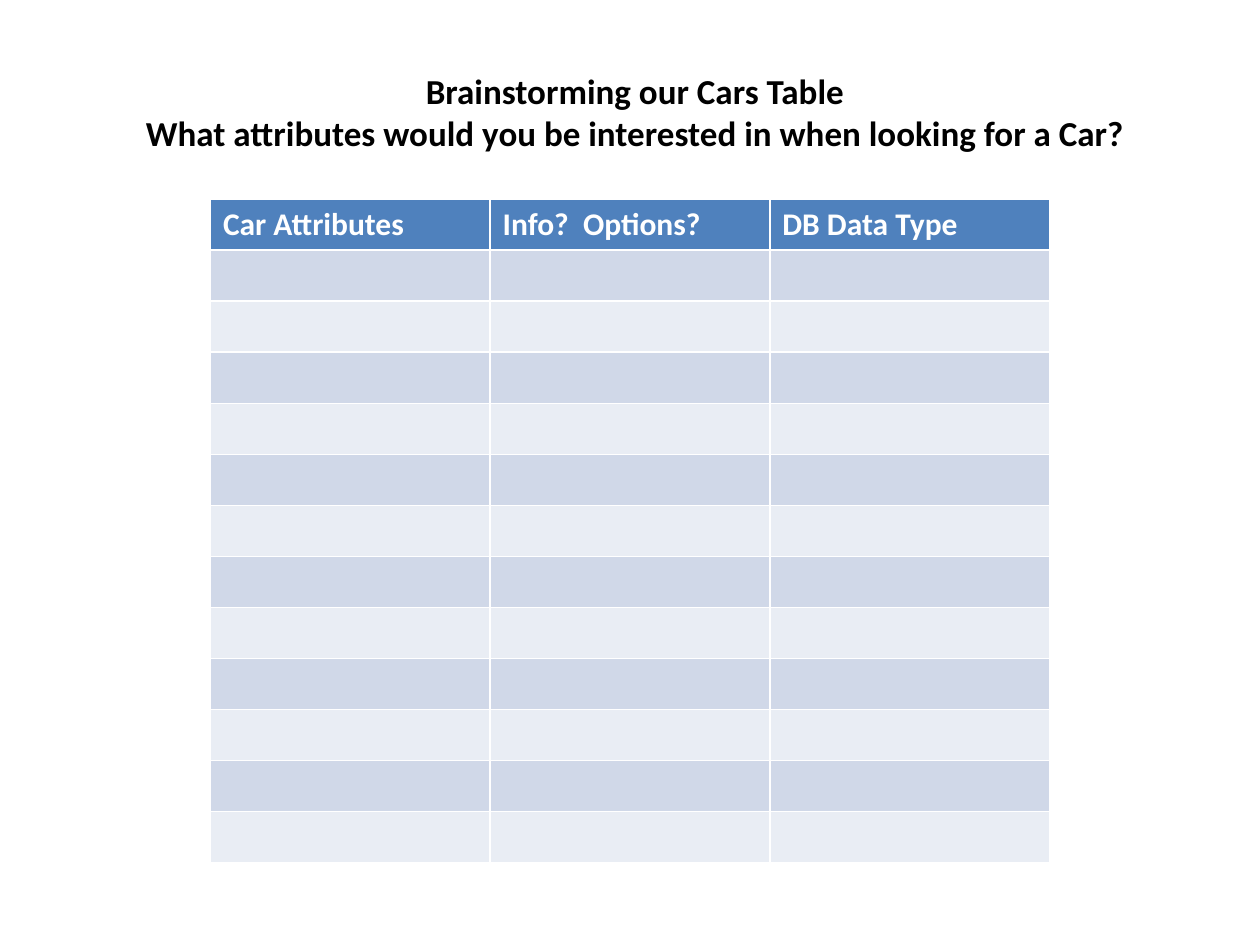
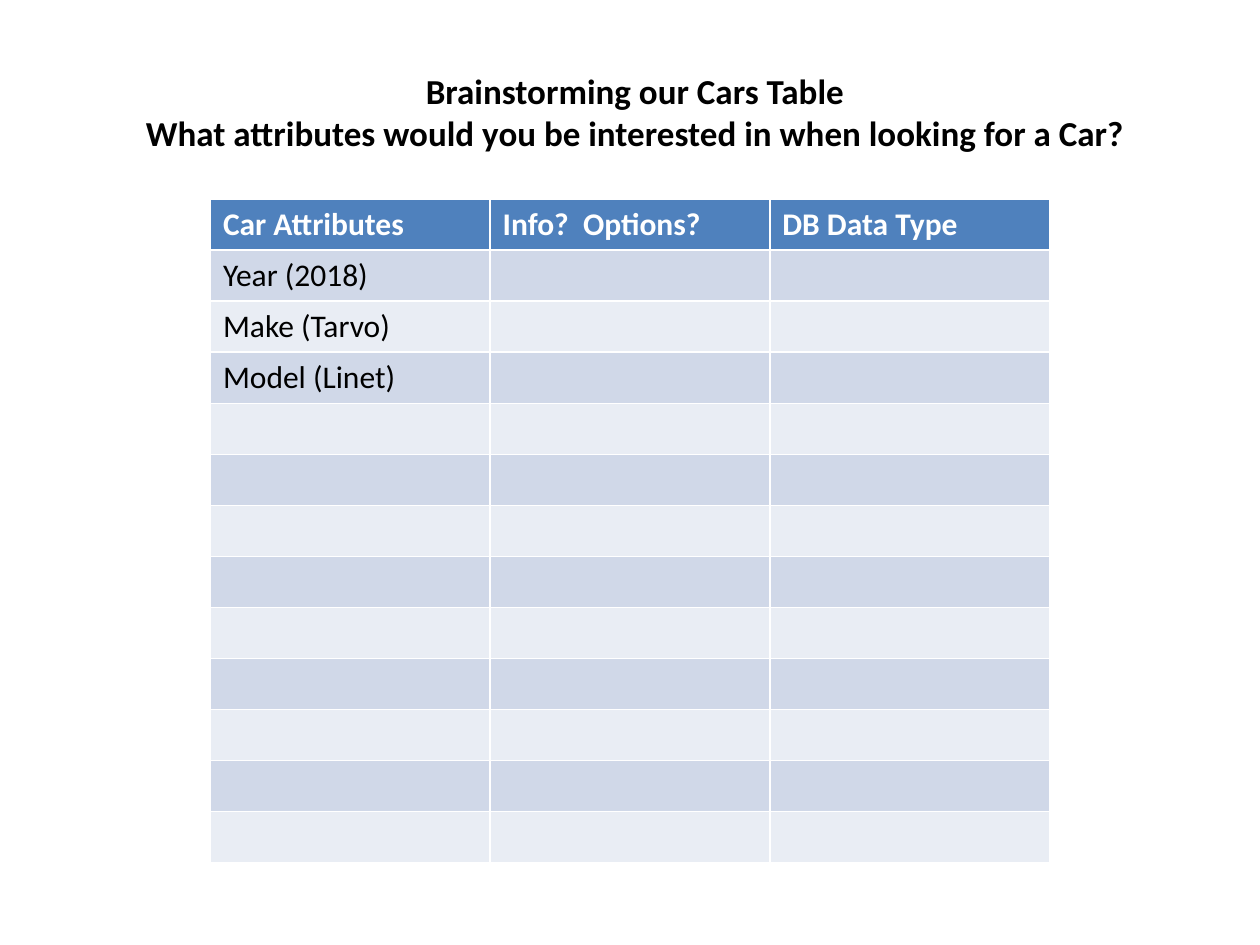
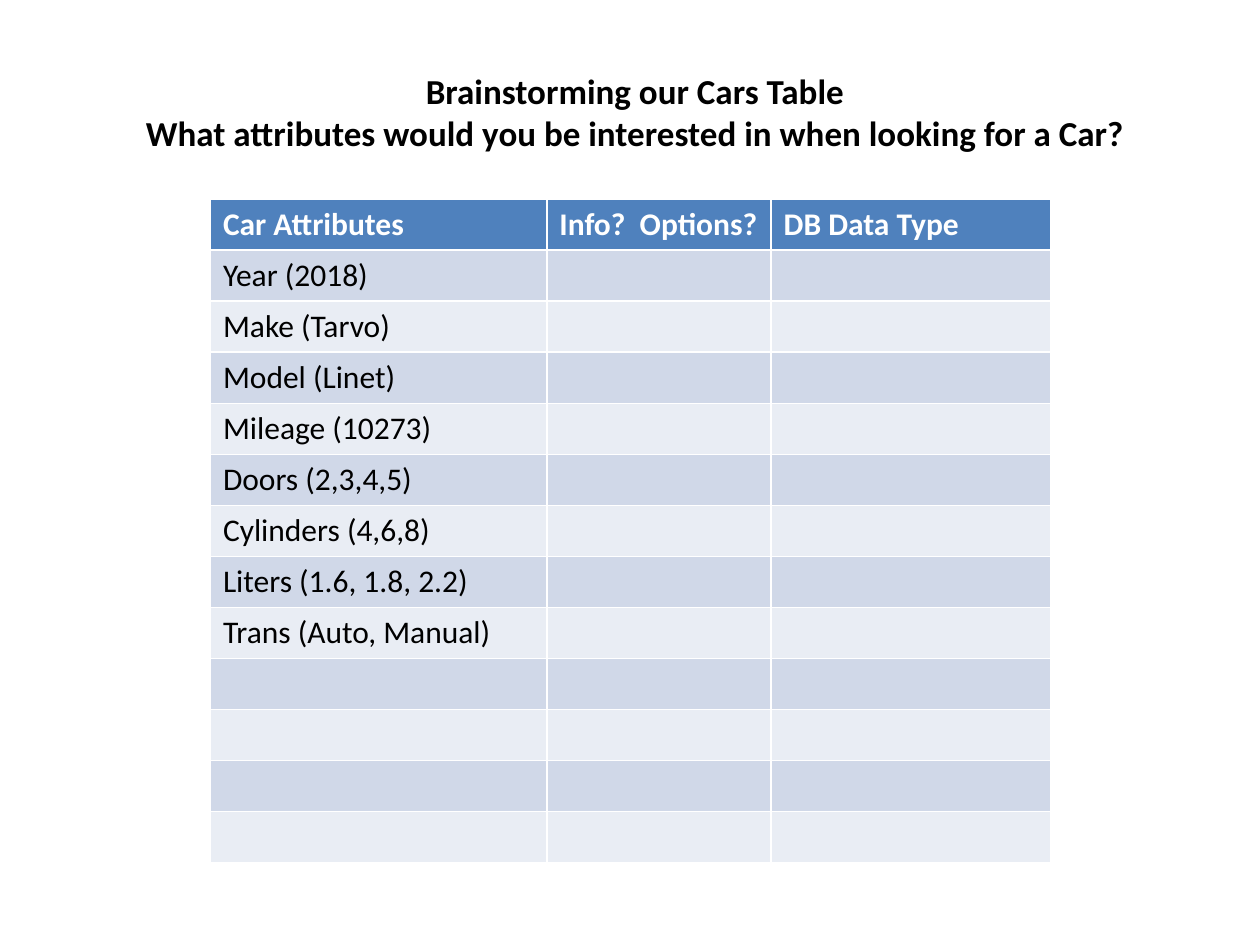
"""Build three slides that brainstorm the columns of a cars table."""
from dataclasses import dataclass

from pptx import Presentation
from pptx import util as u
from pptx.dml.color import RGBColor
from pptx.enum import text


@dataclass(frozen=True)
class Theme:
    font: str = "Calibri"
    ink: str = "000000"
    header_ink: str = "FFFFFF"
    header_fill: str = "4F81BD"
    bands: tuple = ("D0D8E8", "E9EDF4")
    title_size: int = 20
    table_size: int = 18


TITLE = (
    "Brainstorming our Cars Table",
    "What attributes would you be interested in when looking for a Car?",
)
HEADINGS = ("Car Attributes", "Info?  Options?", "DB Data Type")
BODY_ROWS = 12
ATTRIBUTES = (
    "Year (2018)",
    "Make (Tarvo)",
    "Model (Linet)",
    "Mileage (10273)",
    "Doors (2,3,4,5)",
    "Cylinders (4,6,8)",
    "Liters (1.6, 1.8, 2.2)",
    "Trans (Auto, Manual)",
)
EVEN_WIDTHS = (2.22, 2.22, 2.22)
WIDE_FIRST = (2.67, 1.78, 2.22)
STAGES = ((0, EVEN_WIDTHS), (3, EVEN_WIDTHS), (len(ATTRIBUTES), WIDE_FIRST))


def write(para, words, *, font, size, color, bold=False, align=None):
    para.alignment = align
    span = para.add_run()
    span.text = words
    span.font.name = font
    span.font.size = u.Pt(size)
    span.font.bold = bold
    span.font.color.rgb = RGBColor.from_string(color)


class SlideBuilder:
    def __init__(self, deck, theme):
        self.deck = deck
        self.theme = theme
        self.page = None

    def new_page(self):
        self.page = self.deck.slides.add_slide(self.deck.slide_layouts[5])

    def title(self, lines):
        box = self.page.shapes.title
        box.left, box.top = u.Inches(0.5), u.Inches(0.5)
        box.width, box.height = u.Inches(9.08), u.Inches(0.77)
        frame = box.text_frame
        frame.word_wrap = True
        frame.auto_size = text.MSO_AUTO_SIZE.SHAPE_TO_FIT_TEXT
        frame.vertical_anchor = text.MSO_ANCHOR.TOP
        for index, line in enumerate(lines):
            para = frame.add_paragraph() if index else frame.paragraphs[0]
            write(para, line, font=self.theme.font, size=self.theme.title_size,
                  color=self.theme.ink, bold=True, align=text.PP_ALIGN.CENTER)

    def cell(self, cell, words, fill, color, bold=False):
        cell.fill.solid()
        cell.fill.fore_color.rgb = RGBColor.from_string(fill)
        if words:
            write(cell.text_frame.paragraphs[0], words, font=self.theme.font,
                  size=self.theme.table_size, color=color, bold=bold)

    def table(self, headings, attributes, widths):
        theme = self.theme
        table = self.page.shapes.add_table(
            BODY_ROWS + 1, len(headings), u.Inches(1.67), u.Inches(1.58),
            u.Inches(sum(widths)), u.Inches(5.27)).table
        for column, width in zip(table.columns, widths):
            column.width = u.Inches(width)
        for column, heading in enumerate(headings):
            self.cell(table.cell(0, column), heading, theme.header_fill,
                      theme.header_ink, bold=True)
        for row in range(BODY_ROWS):
            for column in range(len(headings)):
                filled = column == 0 and row < len(attributes)
                self.cell(table.cell(row + 1, column),
                          attributes[row] if filled else "",
                          theme.bands[row % 2], theme.ink)


def main():
    deck = Presentation()
    deck.slide_width, deck.slide_height = u.Inches(10), u.Inches(7.5)
    builder = SlideBuilder(deck, Theme())
    for known, widths in STAGES:
        builder.new_page()
        builder.title(TITLE)
        builder.table(HEADINGS, ATTRIBUTES[:known], widths)
    deck.save("out.pptx")


if __name__ == "__main__":
    main()
